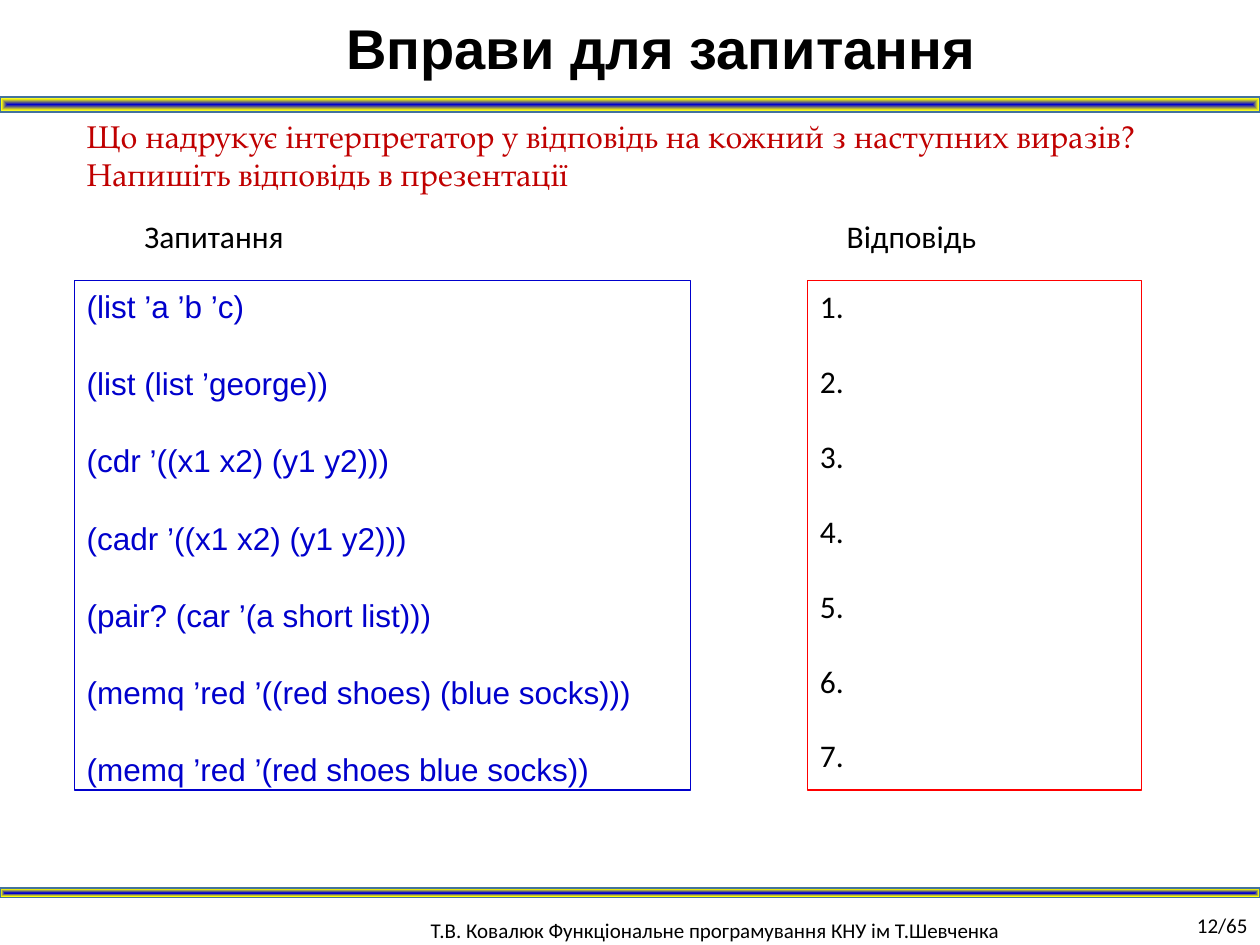
from pptx import Presentation
from pptx.dml.color import RGBColor
from pptx.enum.shapes import MSO_SHAPE
from pptx.enum.text import MSO_ANCHOR, PP_ALIGN
from pptx.oxml import parse_xml
from pptx.oxml.ns import nsdecls
from pptx.util import Pt

RECTANGLE = MSO_SHAPE.RECTANGLE
LEFT, CENTER, RIGHT = PP_ALIGN.LEFT, PP_ALIGN.CENTER, PP_ALIGN.RIGHT
TOP, MIDDLE = MSO_ANCHOR.TOP, MSO_ANCHOR.MIDDLE

BLACK = RGBColor(0x00, 0x00, 0x00)
BLUE = RGBColor(0x00, 0x00, 0xCC)
YELLOW = RGBColor(0xFF, 0xFF, 0x00)
PALE_BLUE = RGBColor(0xCE, 0xE1, 0xF2)
STEEL = RGBColor(0x43, 0x73, 0x9E)
RED = RGBColor(0xFF, 0x00, 0x00)
DARK_RED = RGBColor(0xC0, 0x00, 0x00)

BAND_STOPS = [(0, BLUE), (77, YELLOW), (100, PALE_BLUE)]
EXPRESSIONS = [
    "(list ’a ’b ’c)",
    "(list (list ’george))",
    "(cdr ’((x1 x2) (y1 y2)))",
    "(cadr ’((x1 x2) (y1 y2)))",
    "(pair? (car ’(a short list)))",
    "(memq ’red ’((red shoes) (blue socks)))",
    "(memq ’red ’(red shoes blue socks))",
]
PANEL_TOP, PANEL_HEIGHT = 160.5, 291


class ExerciseSlide:
    """Holds the text style and the slide, and draws each kind of element."""

    def __init__(self, slide, font="Calibri", size=18):
        self.slide = slide
        self.font = font
        self.size = size

    def set_lines(self, frame, lines, font=None, size=None, color=BLACK,
                  bold=False, align=LEFT, gap=0):
        frame.text = "\n".join(lines)
        for index, paragraph in enumerate(frame.paragraphs):
            paragraph.alignment = align
            if index and gap:
                paragraph.space_before = Pt(gap)
            for run in paragraph.runs:
                run.font.name = font or self.font
                run.font.size = Pt(size or self.size)
                run.font.bold = bold
                run.font.color.rgb = color

    def text(self, left, top, width, height, lines, wrap=True, anchor=TOP, **style):
        box = self.slide.shapes.add_textbox(Pt(left), Pt(top), Pt(width), Pt(height))
        frame = box.text_frame
        frame.word_wrap = wrap
        frame.vertical_anchor = anchor
        self.set_lines(frame, lines, **style)
        return frame

    def rectangle(self, left, top, width, height, line_color, line_width):
        shape = self.slide.shapes.add_shape(
            RECTANGLE, Pt(left), Pt(top), Pt(width), Pt(height))
        shape.shadow.inherit = False
        shape.line.color.rgb = line_color
        shape.line.width = Pt(line_width)
        return shape

    def panel(self, left, width, line_color, lines, **style):
        shape = self.rectangle(left, PANEL_TOP, width, PANEL_HEIGHT, line_color, 0.75)
        shape.fill.background()
        shape.text_frame.word_wrap = True
        shape.text_frame.vertical_anchor = TOP
        self.set_lines(shape.text_frame, lines, **style)

    def band(self, top, height):
        shape = self.rectangle(0, top, 720, height, STEEL, 1)
        stops = "".join(
            f'<a:gs pos="{position * 1000}"><a:srgbClr val="{color}"/></a:gs>'
            for position, color in BAND_STOPS)
        gradient = parse_xml(
            f'<a:gradFill {nsdecls("a")}><a:gsLst>{stops}</a:gsLst>'
            '<a:path path="rect"><a:fillToRect l="50000" t="50000" r="50000" b="50000"/>'
            '</a:path></a:gradFill>')
        shape.fill.background()
        properties = shape._element.spPr
        properties.replace(properties[2], gradient)


def main():
    presentation = Presentation()
    presentation.slide_width, presentation.slide_height = Pt(720), Pt(540)
    page = ExerciseSlide(presentation.slides.add_slide(presentation.slide_layouts[6]))

    page.text(239, 520.5, 432, 23,
              ["Т.В. Ковалюк Функціональне програмування КНУ ім Т.Шевченка"], size=12)
    page.band(55.5, 8.5)
    page.band(507.5, 5.5)

    title = page.text(0, 0, 720, 46, ["Вправи для запитання"],
                      font="Arial", size=32, bold=True, align=CENTER)
    title.margin_top = Pt(7.5)
    title.paragraphs[0]._p.get_or_add_pPr().set("indent", str(Pt(35.5)))

    page.panel(42.5, 352, BLUE, EXPRESSIONS, font="Arial", color=BLUE, gap=22.5)
    page.text(42.5, 63.5, 654, 51,
              ["Що надрукує інтерпретатор у відповідь на кожний з наступних виразів?",
               "Напишіть відповідь в презентації"],
              font="TeX Gyre Pagella", color=DARK_RED)
    for left, heading in [(75.5, "Запитання"), (476.75, "Відповідь")]:
        page.text(left, 120.5, 94, 29, [heading], wrap=False)
    answers = [f"{number}." for number in range(1, len(EXPRESSIONS) + 1)]
    page.panel(461.5, 191, RED, answers, gap=21.2)
    page.text(670, 517, 50, 23, ["12/65"], anchor=MIDDLE, size=12, align=RIGHT)

    presentation.save("out.pptx")


if __name__ == "__main__":
    main()
